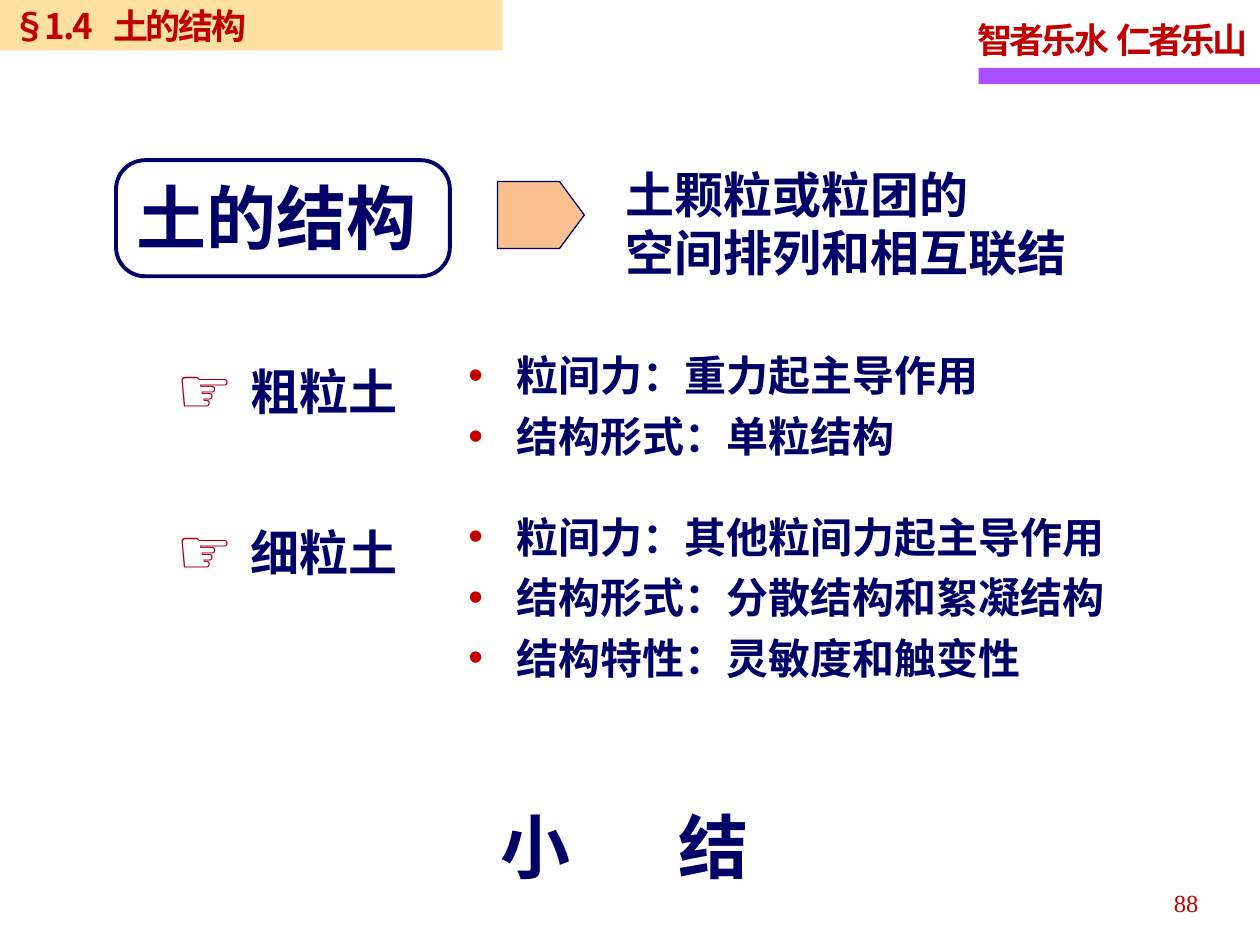
from lxml.etree import SubElement
from pptx import Presentation
from pptx.dml.color import RGBColor
from pptx.enum.shapes import MSO_SHAPE as Shape
from pptx.enum.text import MSO_ANCHOR as Anchor, MSO_AUTO_SIZE as AutoSize, PP_ALIGN as Align
from pptx.oxml.ns import qn
from pptx.util import Cm, Pt

NAVY, RED, CRIMSON = "000066", "C00000", "A50021"
PEACH, AMBER, PURPLE = "FAC090", "FFCC66", "A74FFF"
SERIF, SANS, CJK = "Times New Roman", "Noto Sans CJK SC", "Noto Sans CJK SC"


def color(value):
    return RGBColor.from_string(value)


class SlideBuilder:
    """Holds the text style and the current slide."""

    def __init__(self, page):
        self.page = page

    def place(self, box, left, top, width, height):
        box.left, box.top, box.width, box.height = map(Cm, (left, top, width, height))
        return box

    def fill_text(self, box, lines, size, font=SERIF, ink=NAVY, bold=True, align=Align.LEFT,
                  anchor=Anchor.MIDDLE, leading=None, tracking=None, tab=None, bullet=None):
        frame = box.text_frame
        frame.word_wrap, frame.auto_size = True, AutoSize.NONE
        frame.vertical_anchor = anchor
        for index, line in enumerate(lines):
            para = frame.add_paragraph() if index else frame.paragraphs[0]
            para.text = line
            para.alignment = align
            para.space_before = Pt(0)
            if leading:
                para.line_spacing = leading
            if bullet:
                self.add_bullet(para, *bullet)
            if tab:
                tabs = SubElement(para._p.get_or_add_pPr(), qn("a:tabLst"))
                SubElement(tabs, qn("a:tab"), pos=str(Cm(tab)), algn="l")
            para.font.size, para.font.bold = Pt(size), bold
            para.font.color.rgb = color(ink)
            para.font.name = font
            props = para._p.pPr.find(qn("a:defRPr"))
            SubElement(props, qn("a:ea"), typeface=CJK)
            if tracking:
                props.set("spc", str(round(tracking * 100)))

    def add_bullet(self, para, char, ink, percent, indent):
        props = para._p.get_or_add_pPr()
        props.set("marL", str(Cm(indent)))
        props.set("indent", str(-Cm(indent)))
        SubElement(SubElement(props, qn("a:buClr")), qn("a:srgbClr"), val=ink)
        SubElement(props, qn("a:buSzPct"), val=str(percent * 1000))
        SubElement(props, qn("a:buFont"), typeface="Arial")
        SubElement(props, qn("a:buChar"), char=char)

    def text(self, at, lines, size, **style):
        box = self.page.shapes.add_textbox(*map(Cm, at))
        self.fill_text(box, lines, size, **style)

    def shape(self, kind, at, fill=None, line=None, width=0.75, adjust=None, opacity=None):
        shape = self.page.shapes.add_shape(kind, *map(Cm, at))
        shape.shadow.inherit = False
        if fill:
            shape.fill.solid()
            shape.fill.fore_color.rgb = color(fill)
        else:
            shape.fill.background()
        if opacity:
            tone = shape._element.spPr.find(".//" + qn("a:srgbClr"))
            SubElement(tone, qn("a:alpha"), val=str(opacity * 1000))
        if line:
            shape.line.color.rgb = color(line)
            shape.line.width = Pt(width)
        else:
            shape.line.fill.background()
        if adjust:
            shape.adjustments[0] = adjust
        return shape

    def title(self, at, line, size, **style):
        box = self.place(self.page.shapes.title, *at)
        frame = box.text_frame
        frame.margin_left = frame.margin_right = frame.margin_top = frame.margin_bottom = 0
        self.fill_text(box, [line], size, **style)

    def soil_type(self, holder, top, name, points, height):
        """A pointing-hand label with its list of points beside it."""
        self.text((3.3, top, 5.2, 1.45), [name], 28, bullet=("☞", CRIMSON, 130, 1.5))
        body = self.place(self.page.placeholders[holder], 9.19, top - 0.44, 13.67, height)
        self.fill_text(body, points, 24, font=SANS, anchor=Anchor.TOP, leading=Pt(34.6),
                       bullet=("•", RED, 100, 0.97))


def main():
    deck = Presentation()
    deck.slide_width, deck.slide_height = Cm(25.4), Cm(19.05)
    builder = SlideBuilder(deck.slides.add_slide(deck.slide_layouts[3]))

    # Header band, motto and page number
    builder.shape(Shape.RECTANGLE, (19.73, 1.37, 5.67, 0.33), PURPLE)
    builder.text((19.46, 0.18, 5.99, 1.24), ["智者乐水\t仁者乐山"], 20, ink=RED,
                 tracking=-1.7, tab=2.8)
    band = builder.shape(Shape.RECTANGLE, (0, 0, 10.13, 1.02), AMBER, opacity=60)
    builder.fill_text(band, ["§1.4\t土的结构"], 20, font=SANS, ink=RED, tracking=-1.4, tab=2.03)
    builder.text((18.49, 17.68, 5.92, 1.02), ["88"], 14, ink=RED, bold=False,
                 align=Align.RIGHT)

    # Term and its definition
    builder.shape(Shape.ROUNDED_RECTANGLE, (2.34, 3.23, 6.73, 2.34), line=NAVY,
                  width=2.25, adjust=0.25)
    builder.text((2.51, 3.38, 6.22, 1.96), ["土的结构"], 40)
    builder.shape(Shape.PENTAGON, (10.03, 3.66, 1.75, 1.35), PEACH, NAVY, adjust=0.37)
    builder.text((12.37, 3.2, 9.6, 2.62), ["土颗粒或粒团的", "空间排列和相互联结"], 28,
                 anchor=Anchor.TOP, leading=Pt(33.2))

    # Soil types
    builder.soil_type(1, 7.16, "粗粒土", ["粒间力：重力起主导作用", "结构形式：单粒结构"], 2.72)
    builder.soil_type(2, 10.41, "细粒土", ["粒间力：其他粒间力起主导作用",
                                        "结构形式：分散结构和絮凝结构",
                                        "结构特性：灵敏度和触变性"], 3.96)

    # Slide title at the foot
    builder.title((10.08, 16.2, 5.79, 1.7), "小\t结", 40, font="Arial", tab=3.6)

    deck.save("out.pptx")


if __name__ == "__main__":
    main()
